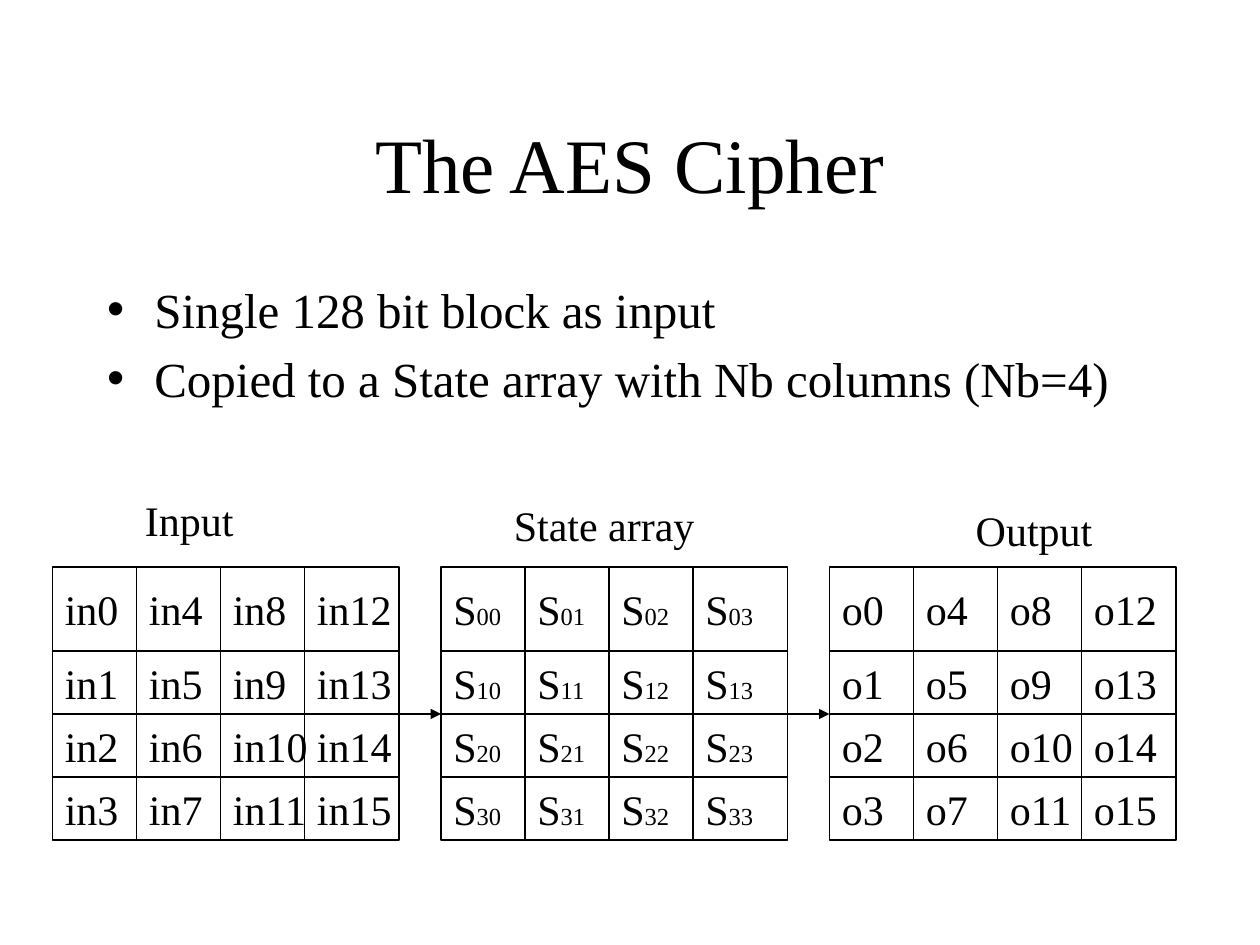
from lxml import etree
from pptx import Presentation
from pptx import util as u
from pptx.dml.color import RGBColor
from pptx.enum import shapes, text
from pptx.oxml.ns import qn

PX = 9525  # EMU in one px, 96 px to the inch
COLORS = {"ink": "000000", "paper": "FFFFFF"}
FONT = "Times New Roman"

# Edges inside each grid, in px
COLUMNS = [0, 64, 128, 192, 264]
ROWS = [0, 64, 112, 160, 208]
GRID_TOP, GRID_LEFT, GRID_STEP = 432, 40, 296
WIDTH, HEIGHT = COLUMNS[-1], ROWS[-1]
DIGIT = 16  # width of one more digit in a label


def ink():
    return RGBColor.from_string(COLORS["ink"])


class SlideBuilder:
    def __init__(self, slide):
        self.slide = slide

    def place(self, shape, left, top, width, height):
        shape.left, shape.top = left * PX, top * PX
        shape.width, shape.height = width * PX, height * PX

    def style(self, span, size):
        span.font.name = FONT
        span.font.size = u.Pt(size)
        span.font.color.rgb = ink()

    def title(self, words, *area):
        box = self.slide.shapes.title
        self.place(box, *area)
        frame = box.text_frame
        frame.text = words
        frame.vertical_anchor = text.MSO_ANCHOR.MIDDLE
        frame.paragraphs[0].alignment = text.PP_ALIGN.CENTER
        self.style(frame.paragraphs[0].runs[0], 44)

    def bullets(self, items, *area):
        box = self.slide.placeholders[1]
        self.place(box, *area)
        frame = box.text_frame
        frame.auto_size = text.MSO_AUTO_SIZE.NONE
        frame.margin_top = 5 * PX
        frame.text = "\n".join(items)
        for index, para in enumerate(frame.paragraphs):
            props = para._p.get_or_add_pPr()
            props.set("marL", str(36 * PX))
            props.set("indent", str(-36 * PX))
            etree.SubElement(props, qn("a:buChar")).set("char", "•")
            para.space_before = u.Pt(5.6 if index else 0)
            self.style(para.runs[0], 28)

    def label(self, words, left, top, width, subscript=""):
        box = self.slide.shapes.add_textbox(0, 0, 0, 0)
        self.place(box, left, top, width, 48)
        frame = box.text_frame
        frame.word_wrap = False
        frame.auto_size = text.MSO_AUTO_SIZE.SHAPE_TO_FIT_TEXT
        para = frame.paragraphs[0]
        para.text = words
        self.style(para.runs[0], 24)
        if subscript:
            span = para.add_run()
            span.text = subscript
            self.style(span, 14)

    def line(self, x1, y1, x2, y2, arrow=False):
        line = self.slide.shapes.add_connector(
            shapes.MSO_CONNECTOR.STRAIGHT, x1 * PX, y1 * PX, x2 * PX, y2 * PX)
        line.line.color.rgb = ink()
        line.line.width = u.Pt(0.75)
        if arrow:
            outline = line.line._get_or_add_ln()
            etree.SubElement(outline, qn("a:tailEnd")).set("type", "triangle")
        etree.SubElement(line._element.spPr, qn("a:effectLst"))

    def frame(self, left, top, width, height):
        box = self.slide.shapes.add_shape(shapes.MSO_SHAPE.RECTANGLE, 0, 0, 0, 0)
        self.place(box, left, top, width, height)
        box.shadow.inherit = False
        box.fill.background()
        box.line.color.rgb = ink()
        box.line.width = u.Pt(0.75)

    def grid(self, left, name_cell, label_width):
        """Draw a 4 by 4 grid; name_cell gives the text and subscript of a cell."""
        self.frame(left, GRID_TOP, WIDTH, HEIGHT)
        for x in COLUMNS[1:-1]:
            self.line(left + x, GRID_TOP, left + x, GRID_TOP + HEIGHT)
        for y in ROWS[1:-1]:
            self.line(left, GRID_TOP + y, left + WIDTH, GRID_TOP + y)
        for row, y in enumerate(ROWS[:-1]):
            inset = 8 if row == 0 else 0  # the first row is taller
            for column, x in enumerate(COLUMNS[:-1]):
                words, subscript = name_cell(row, column)
                extra = DIGIT if words[-2:].isdigit() else 0
                self.label(words, left + x, GRID_TOP + y + inset,
                           label_width + extra, subscript)


def numbered(prefix):
    """Name cells by byte number, counted down the columns."""
    return lambda row, column: (f"{prefix}{row + 4 * column}", "")


def state_cell(row, column):
    return "S", f"{row}{column}"


def main():
    deck = Presentation()
    deck.slide_width, deck.slide_height = 960 * PX, 720 * PX
    page = deck.slides.add_slide(deck.slide_layouts[1])
    page.background.fill.solid()
    page.background.fill.fore_color.rgb = RGBColor.from_string(COLORS["paper"])
    builder = SlideBuilder(page)

    # Title and list
    builder.title("The AES Cipher", 72, 64, 816, 120)
    builder.bullets(["Single 128 bit block as input",
                     "Copied to a State array with Nb columns (Nb=4)"],
                    72, 208, 816, 184)

    # Input, state and output grids
    grids = [(numbered("in"), 60), (state_cell, 56), (numbered("o"), 51)]
    for index, (name_cell, label_width) in enumerate(grids):
        builder.grid(GRID_LEFT + index * GRID_STEP, name_cell, label_width)

    # Arrows from each grid to the next, level with the middle grid line
    arrow_y = GRID_TOP + ROWS[2]
    for index in range(len(grids) - 1):
        left = GRID_LEFT + index * GRID_STEP
        builder.line(left + WIDTH, arrow_y, left + GRID_STEP, arrow_y, arrow=True)

    # Grid headings
    for words, left, top, width in [("Input", 101, 372, 90),
                                    ("State array", 382, 376, 160),
                                    ("Output", 734, 380, 109)]:
        builder.label(words, left, top, width)

    deck.save("out.pptx")


if __name__ == "__main__":
    main()
